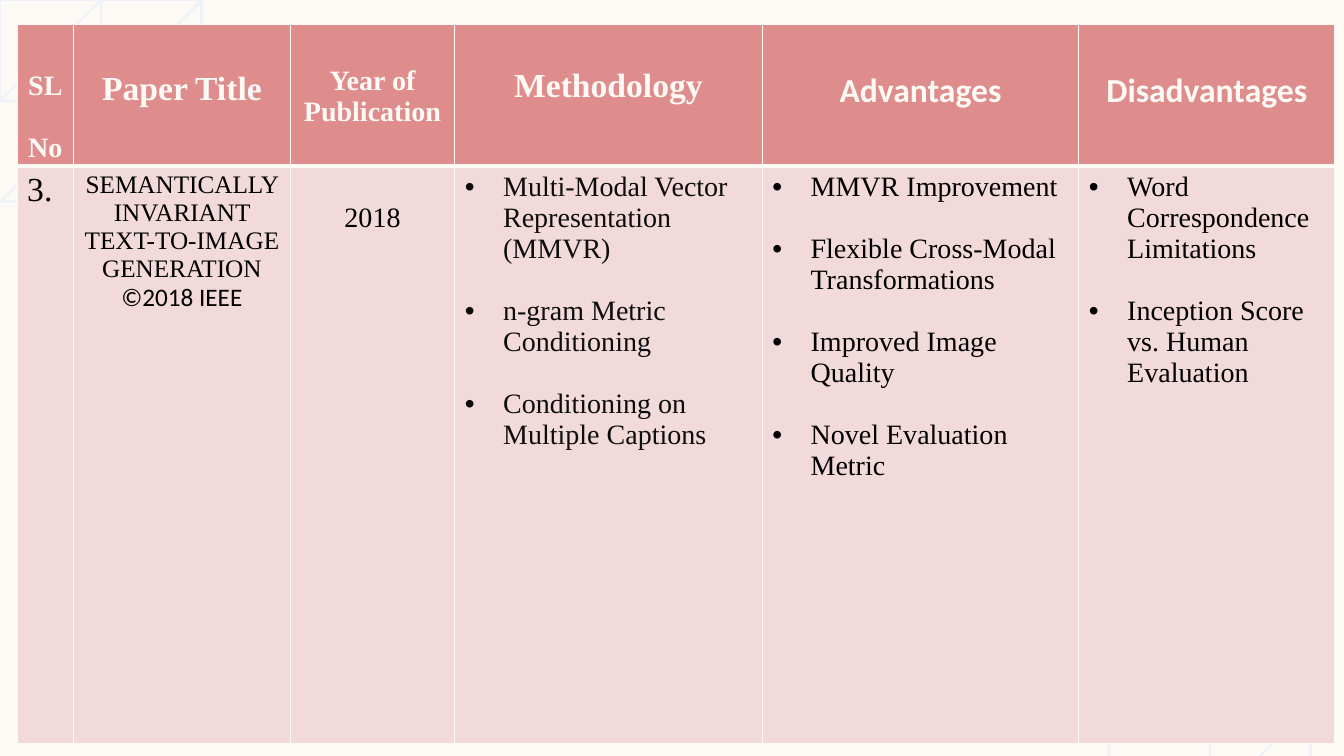
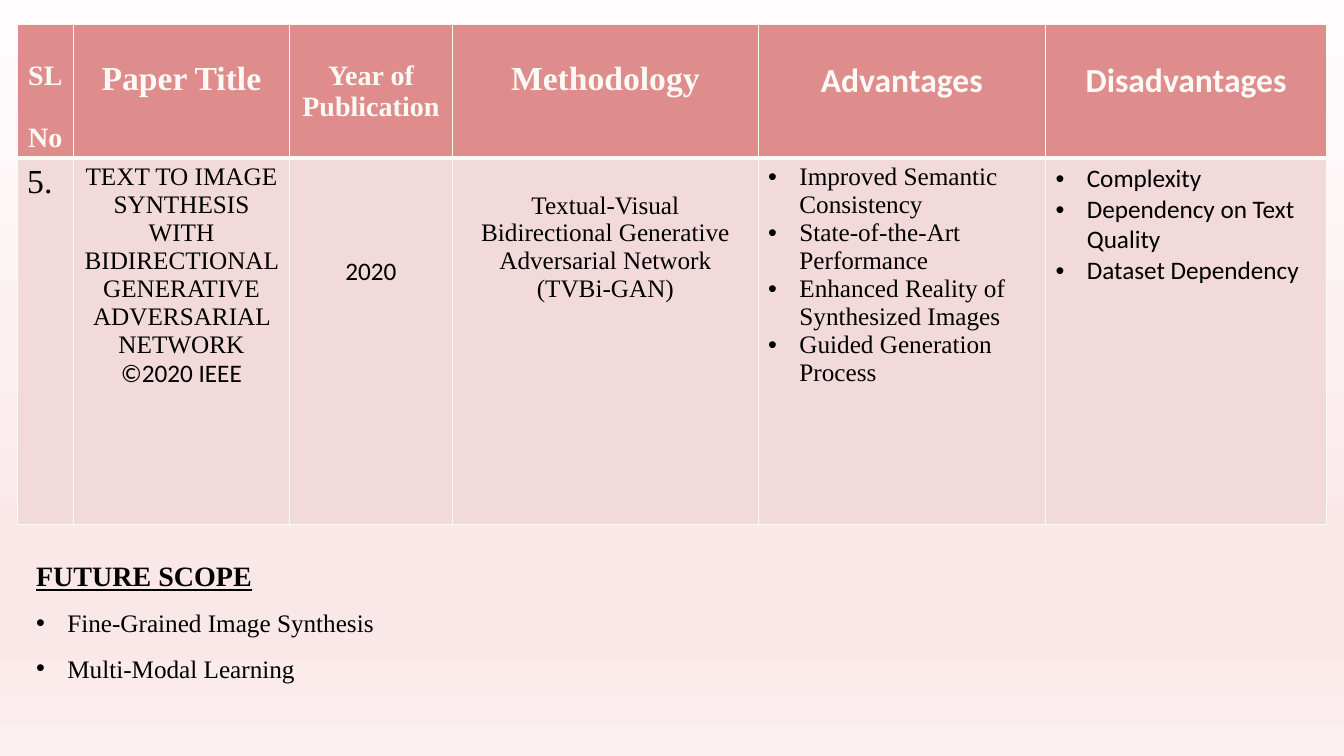
import math
import pptx
import pptx.util
import pptx.oxml
import pptx.oxml.ns
from pptx.dml.color import RGBColor
from pptx.enum.text import PP_ALIGN
from pptx.util import Inches, Pt

CREAM = RGBColor(0xFD, 0xFA, 0xF6)
ROSE = RGBColor(0xDE, 0x8C, 0x8C)
BLUSH = RGBColor(0xF2, 0xDA, 0xDA)
BLACK = RGBColor(0, 0, 0)
INK = RGBColor(0x0D, 0x0D, 0x0D)
PALE_BLUE = RGBColor(0xEE, 0xF3, 0xFA)
GRADIENT = [(0, "FEFCFD"), (74, "FAE8E9"), (83, "FAE8E9"), (100, "FCF0F0")]
SERIF = "Times New Roman"
SANS = "Calibri"
WIDTH, HEIGHT = 13.33, 7.5
MARGIN = 0.05
HEADERS = [
    (["SL", "No"], dict(size=20, gap=22)),
    (["Paper Title"], dict(size=24)),
    (["Year of", "Publication"], dict(size=20)),
    (["Methodology"], dict(size=24)),
    (["Advantages"], dict(size=24, font=SANS)),
    (["Disadvantages"], dict(size=24, font=SANS)),
]


def sub(parent, tag, **attrs):
    element = pptx.oxml.parse_xml(
        f"<{tag} {pptx.oxml.ns.nsdecls('a')}/>")
    for name, value in attrs.items():
        element.set(name, str(value))
    parent.append(element)
    return element


def set_bullet(p, indent):
    pPr = p._p.get_or_add_pPr()
    pPr.set("marL", str(Inches(indent)))
    pPr.set("indent", str(-Inches(indent)))
    font = pptx.oxml.parse_xml(
        f'<a:buFont {pptx.oxml.ns.nsdecls("a")} typeface="Arial"/>')
    char = pptx.oxml.parse_xml(
        f'<a:buChar {pptx.oxml.ns.nsdecls("a")} char="•"/>')
    pPr.insert_element_before(font, "a:buChar", "a:tabLst", "a:defRPr")
    pPr.insert_element_before(char, "a:tabLst", "a:defRPr")


def style(p, text, size=18, font=SERIF, color=BLACK, bold=False,
          align=PP_ALIGN.LEFT, indent=0, gap=0):
    p.text = text
    p.alignment = align
    p.space_after = Pt(gap)
    p.font.size = Pt(size)
    p.font.name = font
    p.font.bold = bold
    p.font.color.rgb = color
    if indent:
        set_bullet(p, indent)


def add_paragraph(tf, first):
    return tf.paragraphs[0] if first else tf.add_paragraph()


def set_borders(cell, bottom):
    tcPr = cell._tc.get_or_add_tcPr()
    for side, width in (("L", 1), ("R", 1), ("T", 1), ("B", bottom)):
        ln = sub(tcPr, f"a:ln{side}", w=Pt(width))
        sub(sub(ln, "a:solidFill"), "a:srgbClr", val=CREAM)


def fill_cell(cell, lines, fill, top=MARGIN, bottom_border=1, **fmt):
    set_borders(cell, bottom_border)
    cell.fill.solid()
    cell.fill.fore_color.rgb = fill
    cell.margin_top = Inches(top)
    cell.margin_bottom = 0
    for i, line in enumerate(lines):
        text, own = line if isinstance(line, tuple) else (line, {})
        style(add_paragraph(cell.text_frame, i == 0), text, **{**fmt, **own})


def add_paper_table(s, cols, rows, header_tops, body):
    frame = s.shapes.add_table(2, len(cols), Inches(0.17), Inches(0.24),
                               Inches(sum(cols)), Inches(sum(rows)))
    table = frame.table
    table.horz_banding = False
    for column, width in zip(table.columns, cols):
        column.width = Inches(width)
    for row, height in zip(table.rows, rows):
        row.height = Inches(height)
    for i, ((lines, fmt), top) in enumerate(zip(HEADERS, header_tops)):
        fill_cell(table.cell(0, i), lines, ROSE, top, 3, color=CREAM,
                  bold=True, align=PP_ALIGN.CENTER, **fmt)
    for i, (lines, fmt) in enumerate(body):
        fill_cell(table.cell(1, i), lines, BLUSH, **fmt)


def add_corner_rings(s, flipped):
    rings, step, drop = 17, 0.134, 0.16

    def place(x, y):
        return (WIDTH - x, HEIGHT - y) if flipped else (x, y)

    def arc(radius, steps):
        start = math.asin(drop / radius)
        angles = [start + (math.pi / 2 - start) * i / steps
                  for i in range(steps + 1)]
        return [place(radius * math.cos(a), radius * math.sin(a) - drop)
                for a in angles]

    arcs = [arc(0.31 + k * step, 3 + k // 3) for k in range(rings)]
    builder = s.shapes.build_freeform(*arcs[0][0], scale=Inches(1))
    for points in arcs:
        if points is not arcs[0]:
            builder.move_to(*points[0])
        builder.add_line_segments(points[1:], close=False)
    sp = builder.convert_to_shape()
    sp.shadow.inherit = False
    sp.fill.background()
    sp.line.color.rgb = PALE_BLUE
    sp.line.width = Pt(1.75)


def set_gradient_background(s):
    fill = s.background.fill
    fill.gradient()
    fill.gradient_angle = 270
    stops = s.element.find(".//" + pptx.oxml.ns.qn("a:gsLst"))
    for gs in list(stops):
        stops.remove(gs)
    for percent, color in GRADIENT:
        sub(sub(stops, "a:gs", pos=percent * 1000), "a:srgbClr", val=color)


def add_future_scope(s, items):
    sp = s.shapes.add_textbox(Inches(0.26), Inches(5.33),
                              Inches(12.9), Inches(1.46))
    tf = sp.text_frame
    tf.word_wrap = True
    p = tf.paragraphs[0]
    style(p, "FUTURE SCOPE", size=20, bold=True)
    p.font.underline = True
    for item in items:
        style(tf.add_paragraph(), item, indent=0.31)
    for p in tf.paragraphs:
        p.line_spacing = 1.5


def build_mmvr_slide(prs):
    s = prs.slides.add_slide(prs.slide_layouts[6])
    s.background.fill.solid()
    s.background.fill.fore_color.rgb = CREAM
    for flipped in (False, True):
        add_corner_rings(s, flipped)
    spaced = dict(size=20, indent=0.38, gap=22)
    centred = dict(align=PP_ALIGN.CENTER)
    add_paper_table(
        s, [0.56, 2.15, 1.63, 3.05, 3.14, 2.54], [1.41, 5.73],
        [0.46, 0.46, 0.41, 0.43, 0.46, 0.46],
        [(["3."], dict(size=24)),
         (["SEMANTICALLY INVARIANT TEXT-TO-IMAGE GENERATION",
           ("©2018 IEEE", dict(font=SANS))], centred),
         (["2018"], dict(size=20, top=0.36, **centred)),
         (["Multi-Modal Vector Representation (MMVR)",
           "n-gram Metric Conditioning",
           "Conditioning on Multiple Captions"], dict(color=INK, **spaced)),
         (["MMVR Improvement", "Flexible Cross-Modal Transformations",
           "Improved Image Quality", "Novel Evaluation Metric"], spaced),
         (["Word Correspondence Limitations",
           "Inception Score vs. Human Evaluation"], spaced)])


def build_tvbi_gan_slide(prs):
    s = prs.slides.add_slide(prs.slide_layouts[6])
    set_gradient_background(s)
    centred = dict(align=PP_ALIGN.CENTER)
    add_paper_table(
        s, [0.56, 2.14, 1.62, 3.03, 2.85, 2.79], [1.33, 3.63],
        [0.36] * len(HEADERS),
        [(["5."], dict(size=24)),
         (["TEXT TO IMAGE SYNTHESIS WITH BIDIRECTIONAL GENERATIVE "
           "ADVERSARIAL NETWORK",
           ("©2020 IEEE", dict(font=SANS))], centred),
         (["2020"], dict(font=SANS, top=0.97, **centred)),
         (["Textual-Visual Bidirectional Generative Adversarial Network "
           "(TVBi-GAN)"], dict(top=0.33, **centred)),
         (["Improved Semantic Consistency", "State-of-the-Art Performance",
           "Enhanced Reality of Synthesized Images",
           "Guided Generation Process"], dict(indent=0.31)),
         (["Complexity", "Dependency on Text Quality",
           "Dataset Dependency"], dict(font=SANS, indent=0.31))])
    add_future_scope(s, ["Fine-Grained Image Synthesis",
                         "Multi-Modal Learning"])


def main():
    prs = pptx.Presentation()
    prs.slide_width = Inches(WIDTH)
    prs.slide_height = Inches(HEIGHT)
    build_mmvr_slide(prs)
    build_tvbi_gan_slide(prs)
    prs.save("out.pptx")


if __name__ == "__main__":
    main()
